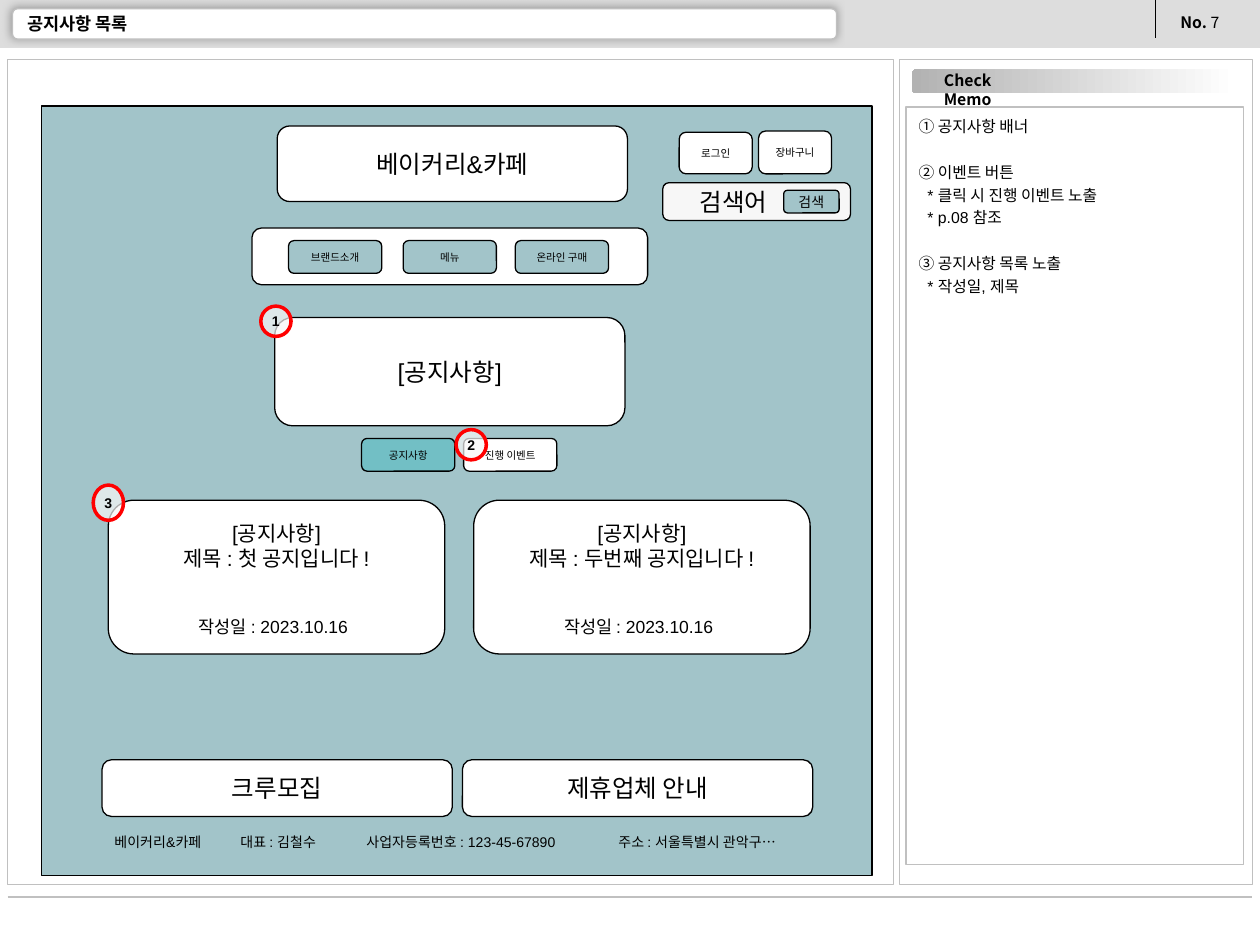
"""Build the notice list wireframe slide with its check memo."""
from dataclasses import dataclass
from typing import Optional

from lxml import etree
from pptx import Presentation
from pptx import util as u
from pptx.dml.color import RGBColor
from pptx.enum import shapes, text
from pptx.oxml import ns

RECT = shapes.MSO_SHAPE.RECTANGLE
ROUND = shapes.MSO_SHAPE.ROUNDED_RECTANGLE
OVAL = shapes.MSO_SHAPE.OVAL
LEFT, CENTER = text.PP_ALIGN.LEFT, text.PP_ALIGN.CENTER
MIDDLE, TOP = text.MSO_ANCHOR.MIDDLE, text.MSO_ANCHOR.TOP


@dataclass(frozen=True)
class Theme:
    """Colours, fonts and type sizes."""
    ink: str = "000000"
    paper: str = "FFFFFF"
    header: str = "DDDDDD"
    rule: str = "C0C0C0"
    tab: str = "B2B2B2"
    shadow: str = "989898"
    page: str = "A2C4C9"
    active: str = "72BFC5"
    search: str = "F7F7F7"
    badge: str = "F8F8F8"
    alert: str = "FF0000"
    font: str = "Arial"
    label_font: str = "Noto Sans CJK KR"
    large: float = 14
    card: float = 12
    title: float = 10
    memo: float = 9
    small: float = 8
    tiny: float = 6


THEME = Theme()


@dataclass(frozen=True)
class Box:
    """A filled and outlined shape with optional text."""
    left: float
    top: float
    width: float
    height: float
    label: str = ""
    size: float = THEME.large
    fill: str = THEME.paper
    line: Optional[str] = THEME.ink
    line_width: float = 0.75
    kind: shapes.MSO_SHAPE = ROUND
    align: text.PP_ALIGN = CENTER
    anchor: text.MSO_ANCHOR = MIDDLE
    insets: tuple = (0.1, 0.1, 0.1, 0.1)
    bold: bool = False


@dataclass(frozen=True)
class MemoLine:
    """One line of the memo list."""
    label: str
    indent: float = 0
    before: float = 0


def set_insets(frame, insets: tuple) -> None:
    """Set the left, top, right and bottom text margins."""
    frame.margin_left, frame.margin_top, frame.margin_right, frame.margin_bottom = map(u.Inches, insets)


def set_font(font, size: float, bold: bool = False, name: str = THEME.font) -> None:
    """Format a font in the ink colour."""
    font.name, font.size, font.bold = name, u.Pt(size), bold
    font.color.rgb = RGBColor.from_string(THEME.ink)


def set_outline(line, color: str, width: float) -> None:
    """Give a line its colour and width."""
    line.color.rgb = RGBColor.from_string(color)
    line.width = u.Pt(width)


def place(shape, left: float, top: float, width: float, height: float) -> None:
    """Move and size a shape."""
    shape.left, shape.top, shape.width, shape.height = map(u.Inches, (left, top, width, height))


def draw_box(collection, box: Box):
    """Draw a box and return its shape."""
    shape = collection.add_shape(box.kind, *map(u.Inches, (box.left, box.top, box.width, box.height)))
    shape.shadow.inherit = False
    shape.fill.solid()
    shape.fill.fore_color.rgb = RGBColor.from_string(box.fill)
    if box.line:
        set_outline(shape.line, box.line, box.line_width)
    else:
        shape.line.fill.background()
    if box.label:
        frame = shape.text_frame
        frame.text = box.label
        frame.word_wrap, frame.vertical_anchor = True, box.anchor
        set_insets(frame, box.insets)
        for paragraph in frame.paragraphs:
            paragraph.alignment = box.align
            set_font(paragraph.runs[0].font, box.size, box.bold)
    return shape


def draw_text(collection, left: float, top: float, width: float, height: float, runs: list,
              size: float, name: str = THEME.font, align=LEFT, wrap: bool = True) -> None:
    """Draw a one-paragraph text box from (text, bold) runs."""
    frame = collection.add_textbox(*map(u.Inches, (left, top, width, height))).text_frame
    frame.word_wrap = wrap
    paragraph = frame.paragraphs[0]
    paragraph.alignment = align
    for label, bold in runs:
        run = paragraph.add_run()
        run.text = label
        set_font(run.font, size, bold, name)


def draw_line(collection, x1: float, y1: float, x2: float, y2: float, color: str, width: float) -> None:
    """Draw a straight line without a shadow."""
    line = collection.add_connector(shapes.MSO_CONNECTOR.STRAIGHT, *map(u.Inches, (x1, y1, x2, y2)))
    set_outline(line.line, color, width)
    etree.SubElement(line.element.spPr, ns.qn("a:effectLst"))


def draw_badge(collection, number: int, left: float, top: float, height: float) -> None:
    """Draw a translucent numbered marker."""
    shape = draw_box(collection, Box(left, top, 0.24, height, str(number), THEME.small, THEME.badge, THEME.alert,
                                     2, OVAL, insets=(0.04, 0.05, 0.04, 0.05), bold=True))
    color = shape.element.spPr.find(ns.qn("a:solidFill"))[0]
    etree.SubElement(color, ns.qn("a:alpha"), val="70000")


def draw_frame(collection) -> None:
    """Draw the header, panels and memo heading."""
    draw_box(collection, Box(0, 0, 10, 0.38, fill=THEME.header, line=None, kind=RECT))
    draw_line(collection, 9.17, 0, 9.17, 0.3, THEME.ink, 0.75)
    draw_text(collection, 9.27, 0.05, 0.62, 0.25, [("No. ", True), ("7", False)], THEME.memo, THEME.label_font)
    title_bar = draw_box(collection, Box(0.1, 0.07, 6.54, 0.24, line=THEME.rule))
    effects = title_bar.element.spPr.find(ns.qn("a:effectLst"))
    shadow = etree.SubElement(effects, ns.qn("a:outerShdw"), blurRad=str(u.Pt(5)), dist=str(u.Pt(1.4)),
                              dir="13500000", algn="ctr", rotWithShape="0")
    etree.SubElement(shadow, ns.qn("a:srgbClr"), val=THEME.shadow)
    draw_line(collection, 0.06, 7.12, 9.94, 7.12, THEME.rule, 1.5)
    for left, width in ((7.14, 2.8), (0.06, 7.03)):
        draw_box(collection, Box(left, 0.47, width, 6.55, line=THEME.rule, kind=RECT))
    heading = draw_box(collection, Box(7.24, 0.55, 2.57, 0.19, line=None))
    heading.fill.gradient()
    heading.fill.gradient_angle = 180
    for stop, color in zip(heading.fill.gradient_stops, (THEME.paper, THEME.tab)):
        stop.color.rgb = RGBColor.from_string(color)
    draw_text(collection, 7.2, 0.51, 0.96, 0.25, [("Check Memo", True)], THEME.memo, THEME.label_font, CENTER)


def fill_title(title) -> None:
    """Fill the title placeholder."""
    place(title, 0.12, 0.1, 5.42, 0.18)
    frame = title.text_frame
    frame.text = "공지사항 목록"
    frame.auto_size, frame.vertical_anchor = text.MSO_AUTO_SIZE.NONE, MIDDLE
    frame.paragraphs[0].alignment = LEFT
    set_font(frame.paragraphs[0].runs[0].font, THEME.title, True)


def fill_memo(memo) -> None:
    """Fill the body placeholder with the memo list."""
    place(memo, 7.19, 0.85, 2.68, 6.01)
    memo.fill.solid()
    memo.fill.fore_color.rgb = RGBColor.from_string(THEME.paper)
    set_outline(memo.line, THEME.rule, 0.75)
    lines = [MemoLine("① 공지사항 배너"), MemoLine("② 이벤트 버튼", before=13),
             MemoLine("* 클릭 시 진행 이벤트 노출", 0.07), MemoLine("* p.08 참조", 0.07),
             MemoLine("③ 공지사항 목록 노출", before=13), MemoLine("* 작성일, 제목", 0.07)]
    frame = memo.text_frame
    frame.text = "\n".join(line.label for line in lines)
    frame.auto_size, frame.vertical_anchor = text.MSO_AUTO_SIZE.NONE, TOP
    for paragraph, line in zip(frame.paragraphs, lines):
        properties = paragraph._p.get_or_add_pPr()
        properties.set("marL", str(u.Inches(line.indent)))
        properties.set("indent", "0")
        etree.SubElement(properties, ns.qn("a:buNone"))
        paragraph.line_spacing, paragraph.space_before = 1.2, u.Pt(line.before)
        set_font(paragraph.runs[0].font, THEME.memo)


def draw_page(collection) -> None:
    """Draw the site page with its menus and footer."""
    boxes = [Box(0.33, 0.84, 6.59, 6.11, fill=THEME.page, kind=RECT),
             Box(2.2, 1, 2.78, 0.6, "베이커리&카페"), Box(2, 1.81, 3.14, 0.45),
             Box(5.26, 1.45, 1.49, 0.3, "검색어", fill=THEME.search, align=LEFT, insets=(0.28, 0.1, 0.1, 0.1)),
             Box(6.22, 1.51, 0.44, 0.18, "검색", THEME.small, THEME.page)]
    boxes += [Box(left, 1.91, 0.74, 0.26, label, THEME.tiny, THEME.page)
              for left, label in ((2.29, "브랜드소개"), (3.2, "메뉴"), (4.09, "온라인 구매"))]
    boxes += [Box(left, 6.03, 2.78, 0.45, label) for left, label in ((0.81, "크루모집"), (3.67, "제휴업체 안내"))]
    boxes += [Box(6.02, 1.04, 0.58, 0.34, "장바구니", THEME.tiny), Box(5.39, 1.05, 0.58, 0.33, "로그인", THEME.tiny)]
    for box in boxes:
        draw_box(collection, box)
    footer = "베이커리&카페\t대표 : 김철수\t사업자등록번호 : 123-45-67890\t주소 : 서울특별시 관악구…"
    draw_text(collection, 0.81, 6.57, 5.6, 0.24, [(footer, False)], THEME.small)


def draw_notices(collection) -> None:
    """Draw the notice banner, tabs, cards and markers."""
    for left, name in ((0.86, "첫 공지입니다 !"), (3.76, "두번째 공지입니다 !")):
        draw_box(collection, Box(left, 3.97, 2.67, 1.22, f"[공지사항]\n제목 : {name}", THEME.card, anchor=TOP))
        draw_text(collection, left + 0.62, 4.84, 1.43, 0.27, [("작성일 : 2023.10.16", False)], THEME.title, wrap=False)
    draw_box(collection, Box(2.18, 2.52, 2.78, 0.86, "[공지사항]"))
    for left, label, fill in ((2.87, "공지사항", THEME.active), (3.68, "진행 이벤트", THEME.paper)):
        draw_box(collection, Box(left, 3.48, 0.74, 0.26, label, THEME.tiny, fill))
    for number, spot in enumerate(((2.07, 2.43, 0.24), (3.62, 3.41, 0.24), (0.74, 3.85, 0.28)), 1):
        draw_badge(collection, number, *spot)


def main() -> None:
    """Build and save the presentation."""
    presentation = Presentation()
    presentation.slide_width, presentation.slide_height = u.Inches(10), u.Inches(7.5)
    slide = presentation.slides.add_slide(presentation.slide_layouts[1])
    title, memo = slide.placeholders
    draw_frame(slide.shapes)
    fill_title(title)
    fill_memo(memo)
    for placeholder in (title, memo):
        placeholder.element.getparent().append(placeholder.element)
    draw_page(slide.shapes.add_group_shape().shapes)
    draw_notices(slide.shapes)
    presentation.save("out.pptx")


if __name__ == "__main__":
    main()
